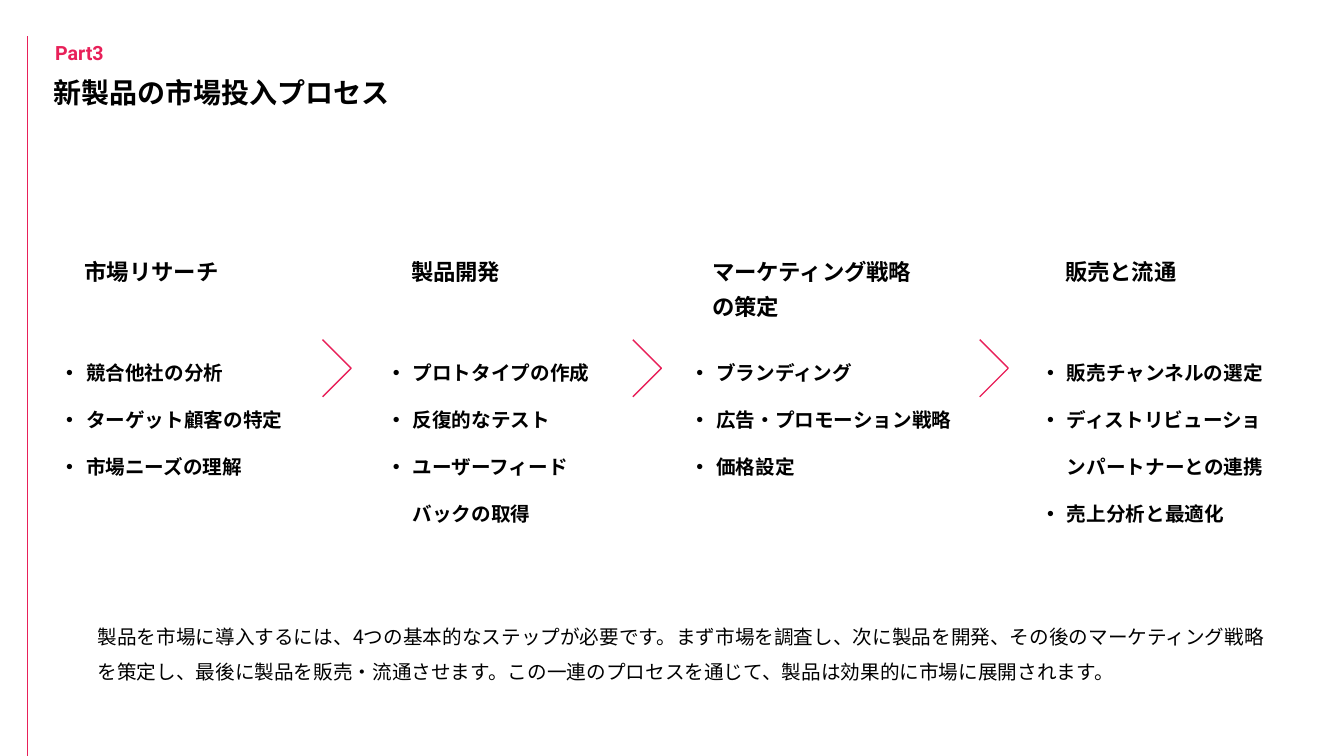
import dataclasses

import lxml.etree
import pptx
import pptx.dml.color
import pptx.enum.text
import pptx.oxml.ns
import pptx.shapes.base
import pptx.slide
import pptx.text.text
import pptx.util

Cm = pptx.util.Cm
COLORS = {"text": "000000", "accent": "E82059"}
JAPANESE_FONT = "Noto Sans CJK JP"
HEADING_TOP, HEADING_WIDTH = 6.17, 5.64
LIST_TOP = 8.38
BULLET_INDENT = 0.5
CHEVRON_TOP, CHEVRON_WIDTH = 8.56, 0.72


@dataclasses.dataclass(frozen=True)
class Style:
    size: int
    bold: bool = True
    color: str = "text"
    font: str = JAPANESE_FONT
    spacing: float = 1.0
    bullet: bool = False


@dataclasses.dataclass(frozen=True)
class Step:
    heading: list[str]
    heading_left: float
    items: list[str]
    list_left: float
    list_width: float


PART = Style(14, color="accent", font="Roboto")
TITLE = Style(20)
HEADING = Style(16, spacing=1.3)
ITEM = Style(14, spacing=2.0, bullet=True)
SUMMARY = Style(14, bold=False, spacing=1.5)

STEPS = [
    Step(["市場リサーチ"], 1.88,
         ["競合他社の分析", "ターゲット顧客の特定", "市場ニーズの理解"], 1.42, 6.1),
    Step(["製品開発"], 10.11,
         ["プロトタイプの作成", "反復的なテスト", "ユーザーフィードバックの取得"], 9.65, 5.64),
    Step(["マーケティング戦略", "の策定"], 17.7,
         ["ブランディング", "広告・プロモーション戦略", "価格設定"], 17.3, 7.01),
    Step(["販売と流通"], 26.59,
         ["販売チャンネルの選定", "ディストリビューションパートナーとの連携", "売上分析と最適化"],
         26.14, 6.1),
]
CHEVRON_LEFTS = [8.13, 15.95, 24.69]
SUMMARY_TEXT = (
    "製品を市場に導入するには、4つの基本的なステップが必要です。"
    "まず市場を調査し、次に製品を開発、その後のマーケティング戦略を策定し、"
    "最後に製品を販売・流通させます。"
    "この一連のプロセスを通じて、製品は効果的に市場に展開されます。"
)


def color(name: str) -> pptx.dml.color.RGBColor:
    return pptx.dml.color.RGBColor.from_string(COLORS[name])


def add_element(parent: lxml.etree._Element, tag: str, **attributes: str) -> None:
    lxml.etree.SubElement(parent, pptx.oxml.ns.qn(tag), **attributes)


def style_paragraph(paragraph: pptx.text.text._Paragraph, style: Style) -> None:
    paragraph.line_spacing = style.spacing
    properties = paragraph._p.get_or_add_pPr()
    if style.bullet:
        properties.set("marL", str(Cm(BULLET_INDENT)))
        properties.set("indent", str(-Cm(BULLET_INDENT)))
        add_element(properties, "a:buFont", typeface="Arial")
        add_element(properties, "a:buChar", char="•")
    font = paragraph.font
    font.size = pptx.util.Pt(style.size)
    font.bold = style.bold
    font.color.rgb = color(style.color)
    font.name = style.font
    add_element(properties.find(pptx.oxml.ns.qn("a:defRPr")), "a:ea", typeface=style.font)


def add_text(page: pptx.slide.Slide, lines: list[str], left: float, top: float,
             width: float, height: float, style: Style) -> None:
    box = page.shapes.add_textbox(Cm(left), Cm(top), Cm(width), Cm(height))
    frame = box.text_frame
    frame.word_wrap = True
    frame.auto_size = pptx.enum.text.MSO_AUTO_SIZE.SHAPE_TO_FIT_TEXT
    frame.text = "\n".join(lines)
    for paragraph in frame.paragraphs:
        style_paragraph(paragraph, style)


def add_step(page: pptx.slide.Slide, step: Step) -> None:
    add_text(page, step.heading, step.heading_left, HEADING_TOP, HEADING_WIDTH,
             0.18 + 0.89 * len(step.heading), HEADING)
    add_text(page, step.items, step.list_left, LIST_TOP, step.list_width, 3.66, ITEM)


def add_side_line(page: pptx.slide.Slide, left: float, top: float, bottom: float) -> None:
    line = page.shapes.add_connector(
        pptx.enum.shapes.MSO_CONNECTOR.STRAIGHT, Cm(left), Cm(top), Cm(left), Cm(bottom))
    line.line.color.rgb = color("accent")
    line.line.width = pptx.util.Pt(1)
    add_element(line._element.spPr, "a:effectLst")


def add_chevron(page: pptx.slide.Slide, left: float) -> None:
    builder = page.shapes.build_freeform(Cm(left), Cm(CHEVRON_TOP))
    builder.add_line_segments(
        [(Cm(left + CHEVRON_WIDTH), Cm(CHEVRON_TOP + CHEVRON_WIDTH)),
         (Cm(left), Cm(CHEVRON_TOP + 2 * CHEVRON_WIDTH))], close=False)
    chevron = builder.convert_to_shape()
    chevron.shadow.inherit = False
    chevron.fill.background()
    chevron.line.color.rgb = color("accent")
    chevron.line.width = pptx.util.Pt(1)


def main() -> None:
    deck = pptx.Presentation()
    deck.slide_width, deck.slide_height = Cm(33.87), Cm(19.05)
    page = deck.slides.add_slide(deck.slide_layouts[6])
    for step in STEPS:
        add_step(page, step)
    add_text(page, [SUMMARY_TEXT], 2.21, 15.32, 30.02, 1.96, SUMMARY)
    add_side_line(page, 0.69, 0.91, 19.05)
    add_text(page, ["Part3"], 1.14, 0.91, 6.58, 0.86, PART)
    add_text(page, ["新製品の市場投入プロセス"], 1.09, 1.78, 12.09, 1.12, TITLE)
    for left in CHEVRON_LEFTS:
        add_chevron(page, left)
    deck.save("out.pptx")


if __name__ == "__main__":
    main()
